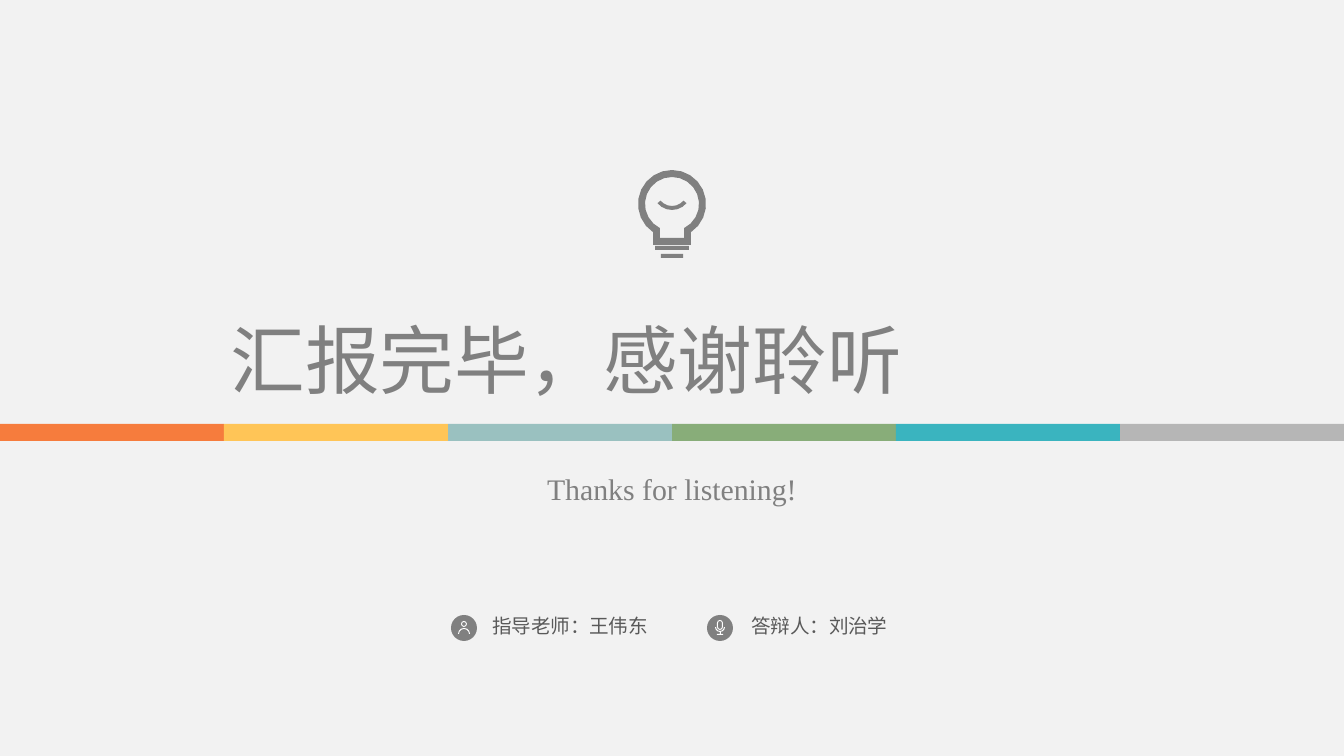
"""Build the closing thank-you slide with its bulb, colour band and presenter labels."""
from math import asin, cos, degrees, radians, sin

from lxml.etree import SubElement
from pptx import Presentation
from pptx.dml.color import RGBColor
from pptx.enum.shapes import MSO_SHAPE as Shape
from pptx.enum.text import MSO_ANCHOR as Anchor, MSO_AUTO_SIZE as AutoSize, PP_ALIGN as Align
from pptx.oxml.ns import qn
from pptx.util import Pt

EMU_PER_PX = 914400 / 134.4
WIDTH, HEIGHT = 1344, 756
PAPER = RGBColor(0xF2, 0xF2, 0xF2)
WHITE = RGBColor(0xFF, 0xFF, 0xFF)
GREY = RGBColor(0x80, 0x80, 0x80)
DARK = RGBColor(0x59, 0x59, 0x59)
BAND_COLOURS = [
    RGBColor(0xF6, 0x7C, 0x3D), RGBColor(0xFF, 0xC5, 0x57), RGBColor(0x9A, 0xC1, 0xC0),
    RGBColor(0x88, 0xAD, 0x79), RGBColor(0x3A, 0xB4, 0xBF), RGBColor(0xB6, 0xB6, 0xB6),
]
CHINESE, LATIN = "Noto Sans CJK SC", "Times New Roman"


def px(length):
    return round(length * EMU_PER_PX)


def arc(x, y, radius, start, end, steps):
    angles = [radians(start + (end - start) * i / steps) for i in range(steps + 1)]
    return [(x + radius * cos(a), y + radius * sin(a)) for a in angles]


def ring(x, y, outer, inner):
    return [arc(x, y, radius, 0, 360, 8)[:-1] for radius in (outer, inner)]


def crescent(x, y, outer, inner, start, end):
    return arc(x, y, outer, start, end, 6) + arc(x, y, inner, end, start, 6)


def bar(left, top, right, bottom):
    return [(left, top), (right, top), (right, bottom), (left, bottom)]


def pill(left, top, right, bottom):
    radius = (right - left) / 2
    x = left + radius
    return (arc(x, top + radius, radius, 180, 360, 4)
            + arc(x, bottom - radius, radius, 0, 180, 4))


def bulb_outline(x, y, radius, neck, bottom):
    gap = degrees(asin(neck / radius))
    return arc(x, y, radius, 90 + gap, 450 - gap, 18) + [(x + neck, bottom), (x - neck, bottom)]


def paint(shape, colour):
    shape.shadow.inherit = False
    shape.fill.solid()
    shape.fill.fore_color.rgb = colour
    shape.line.fill.background()


def add_outline(shapes, contours, colour):
    first, *others = [[(px(x), px(y)) for x, y in contour] for contour in contours]
    builder = shapes.build_freeform(*first[0])
    builder.add_line_segments(first[1:])
    for contour in others:
        builder.move_to(*contour[0])
        builder.add_line_segments(contour[1:])
    paint(builder.convert_to_shape(), colour)


def add_preset(shapes, kind, left, top, width, height, colour):
    paint(shapes.add_shape(kind, px(left), px(top), px(width), px(height)), colour)


def write(box, text, size, font_name, colour, align=Align.LEFT, wrap=True):
    frame = box.text_frame
    frame.text = text
    frame.word_wrap = wrap
    frame.auto_size = AutoSize.NONE
    frame.vertical_anchor = Anchor.MIDDLE
    para = frame.paragraphs[0]
    para.alignment = align
    para.font.size = Pt(size)
    para.font.name = font_name
    para.font.color.rgb = colour
    defaults = para._p.get_or_add_pPr().get_or_add_defRPr()
    SubElement(defaults, qn("a:ea")).set("typeface", font_name)


def add_bulb(page):
    add_outline(page.shapes, [
        bulb_outline(672, 204, 34, 19, 245),
        bulb_outline(672, 204, 27, 12, 238),
        crescent(672, 191, 19, 15, 40, 140),
        bar(655, 246, 689, 250),
        bar(661, 254, 683, 258),
    ], GREY)


def add_title(page):
    title = page.shapes.title
    title.left, title.top, title.width, title.height = map(px, (217, 307, 910, 104))
    write(title, "汇报完毕，感谢聆听", 40, CHINESE, GREY, Align.JUSTIFY)


def add_subtitle(page):
    box = page.shapes.add_shape(Shape.ROUNDED_RECTANGLE, px(336), px(464), px(672), px(50))
    box.adjustments[0] = 0
    box.shadow.inherit = False
    box.fill.background()
    box.line.fill.background()
    write(box, "Thanks for listening!", 16, LATIN, GREY, Align.CENTER)


def add_badge(page, left, outlines):
    group = page.shapes.add_group_shape()
    add_preset(group.shapes, Shape.OVAL, left, 615, 26, 26, GREY)
    for contours in outlines:
        add_outline(group.shapes, contours, WHITE)


def add_label(page, left, width, text):
    box = page.shapes.add_textbox(px(left), px(607), px(width), px(38))
    write(box, text, 10.5, CHINESE, DARK, wrap=False)


def add_band(page):
    group = page.shapes.add_group_shape()
    width = WIDTH // len(BAND_COLOURS)
    for i, colour in enumerate(BAND_COLOURS):
        add_preset(group.shapes, Shape.RECTANGLE, i * width, 424, width, 17, colour)


def main():
    deck = Presentation()
    deck.slide_width, deck.slide_height = px(WIDTH), px(HEIGHT)
    page = deck.slides.add_slide(deck.slide_layouts[5])
    page.background.fill.solid()
    page.background.fill.fore_color.rgb = PAPER

    add_bulb(page)
    add_title(page)
    add_subtitle(page)
    head = ring(464, 624, 3, 2)
    shoulders = [crescent(464, 634, 6, 5, 180, 360)]
    add_badge(page, 451, [head, shoulders])
    capsule = [pill(717, 620, 723, 630), pill(718, 621, 722, 629)]
    stand = [crescent(720, 627, 5, 4, 0, 180),
             bar(720, 632, 721, 634), bar(717, 634, 723, 635)]
    add_badge(page, 707, [capsule, stand])
    add_label(page, 479, 184, "指导老师：王伟东")
    add_label(page, 738, 164, "答辩人：刘治学")
    add_band(page)
    deck.save("out.pptx")


if __name__ == "__main__":
    main()
